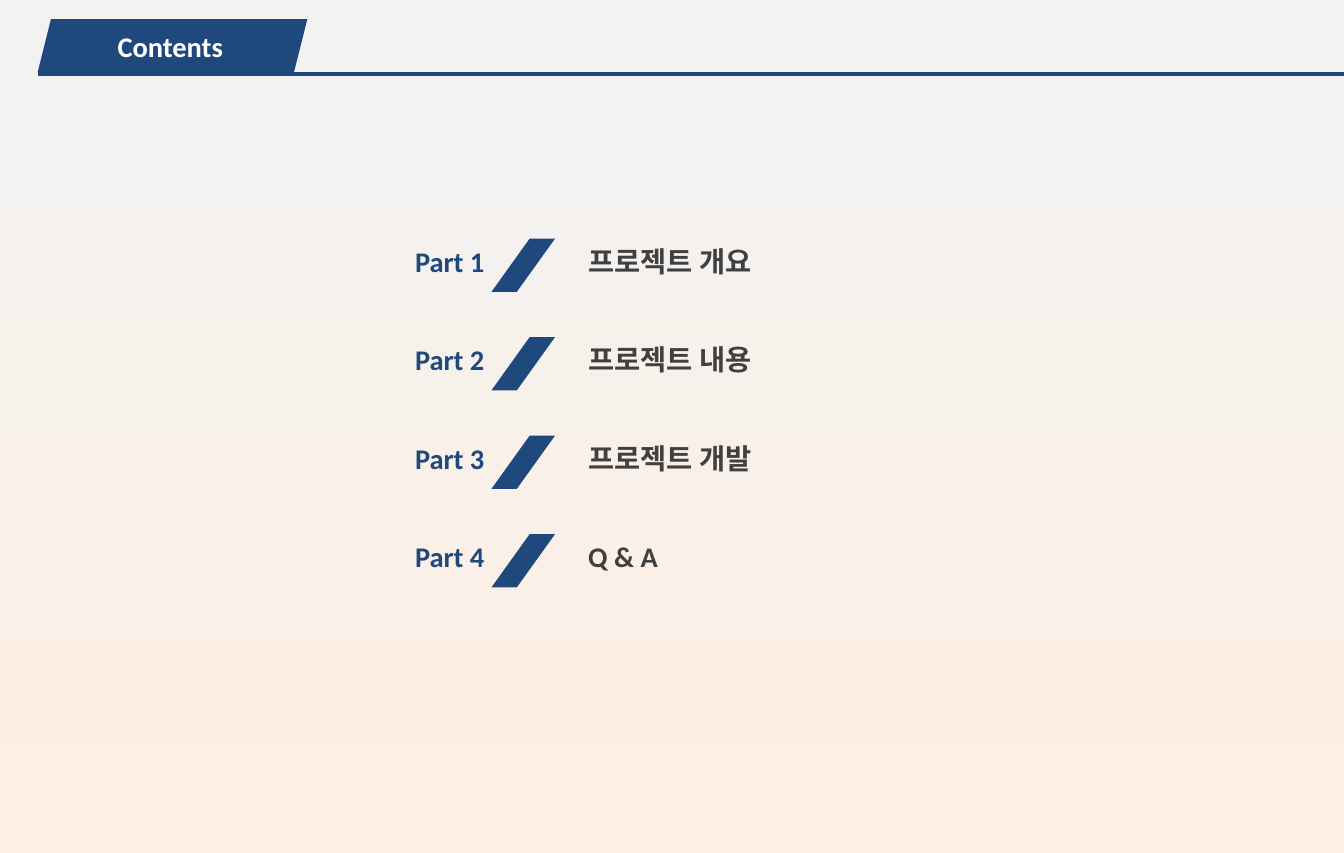
from lxml.etree import SubElement
from pptx import Presentation
from pptx.dml.color import RGBColor
from pptx.enum.shapes import MSO_CONNECTOR as Connector, MSO_SHAPE as Preset
from pptx.enum.text import MSO_ANCHOR as Anchor, MSO_AUTO_SIZE as AutoSize, PP_ALIGN as Align
from pptx.oxml.ns import qn
from pptx.util import Cm, Pt

NAVY = RGBColor(0x1F, 0x49, 0x7D)
CHARCOAL = RGBColor(0x40, 0x40, 0x40)
WHITE = RGBColor(0xFF, 0xFF, 0xFF)
PALE_GREY = RGBColor(0xF2, 0xF2, 0xF2)
PALE_PEACH = RGBColor(0xFD, 0xEF, 0xE3)

TOPICS = ["프로젝트 개요", "프로젝트 내용", "프로젝트 개발", "Q & A"]
FIRST_ROW = 5.13
ROW_PITCH = 2.2
TEXT_HEIGHT = 1.4
BAR_HEIGHT = 1.19


def paint_background(page):
    fill = page.background.fill
    fill.gradient()
    fill.gradient_angle = 270
    for stop, position, color in zip(fill.gradient_stops, (0, 1), (PALE_GREY, PALE_PEACH)):
        stop.position = position
        stop.color.rgb = color


def add_bar(page, left, top, width, slant):
    bar = page.shapes.add_shape(Preset.PARALLELOGRAM, Cm(left), Cm(top), Cm(width), Cm(BAR_HEIGHT))
    bar.adjustments[0] = slant
    bar.shadow.inherit = False
    bar.fill.solid()
    bar.fill.fore_color.rgb = NAVY
    bar.line.fill.background()


def add_rule(page, left, right, top):
    rule = page.shapes.add_connector(Connector.STRAIGHT, Cm(right), Cm(top), Cm(left), Cm(top))
    rule.line.color.rgb = NAVY
    rule.line.width = Pt(3)
    SubElement(rule.element.spPr, qn("a:effectLst"))


def write(box, text, color, align):
    frame = box.text_frame
    frame.word_wrap = True
    frame.auto_size = AutoSize.NONE
    frame.vertical_anchor = Anchor.MIDDLE
    para = frame.paragraphs[0]
    para.alignment = align
    span = para.add_run()
    span.text = text
    span.font.name = "Calibri"
    span.font.size = Pt(18)
    span.font.bold = True
    span.font.color.rgb = color


def add_label(page, left, top, width, text, color, align):
    box = page.shapes.add_textbox(Cm(left), Cm(top), Cm(width), Cm(TEXT_HEIGHT))
    write(box, text, color, align)


def add_heading(page, text):
    add_bar(page, 0.84, 0.43, 6.02, 0.25)
    title = page.shapes.title
    title.left, title.top = Cm(0.79), Cm(0.33)
    title.width, title.height = Cm(6.02), Cm(TEXT_HEIGHT)
    write(title, text, WHITE, Align.CENTER)
    title.element.getparent().append(title.element)
    add_rule(page, 0.84, 30, 1.65)


def add_part(page, number, topic):
    top = FIRST_ROW + (number - 1) * ROW_PITCH
    add_bar(page, 10.97, top + 0.2, 1.42, 0.717)
    add_label(page, 12.88, top, 9.45, topic, CHARCOAL, Align.LEFT)
    add_label(page, 7.92, top, 4.24, f"Part {number}", NAVY, Align.CENTER)


def main():
    deck = Presentation()
    deck.slide_width, deck.slide_height = Cm(30), Cm(19.05)
    page = deck.slides.add_slide(deck.slide_layouts.get_by_name("Title Only"))
    paint_background(page)
    add_heading(page, "Contents")
    for number, topic in enumerate(TOPICS, start=1):
        add_part(page, number, topic)
    deck.save("out.pptx")


if __name__ == "__main__":
    main()
